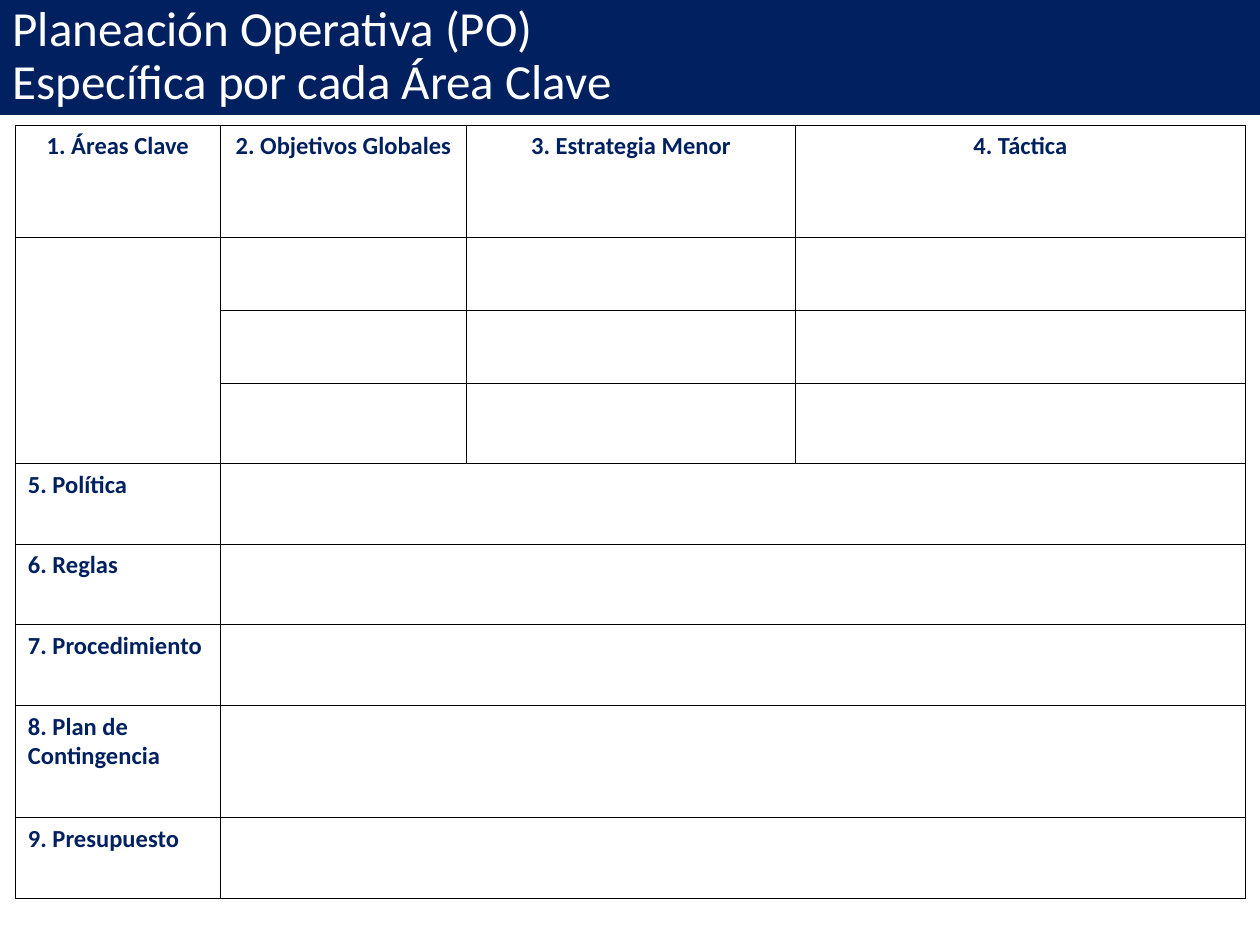
from lxml import etree
from pptx import Presentation
from pptx.dml.color import RGBColor
from pptx.enum.text import MSO_ANCHOR, MSO_AUTO_SIZE, PP_ALIGN
from pptx.oxml.ns import qn
from pptx.util import Pt

CENTER, LEFT = PP_ALIGN.CENTER, PP_ALIGN.LEFT
MIDDLE = MSO_ANCHOR.MIDDLE
NO_AUTOFIT = MSO_AUTO_SIZE.NONE
TITLE_ONLY = 5
FONT = "Calibri"
COLORS = {"navy": "002060", "white": "FFFFFF", "border": "000000"}
THIN, THICK = 0.45, 0.96

TITLE = "Planeación Operativa (PO)\vEspecífica por cada Área Clave"
HEADERS = ["1. Áreas Clave", "2. Objetivos Globales", "3. Estrategia Menor", "4. Táctica"]
SECTIONS = ["5. Política", "6. Reglas", "7. Procedimiento", "8. Plan de Contingencia", "9. Presupuesto"]
GOAL_ROWS = 3
FIRST_SECTION = 1 + GOAL_ROWS
COL_WIDTHS = [117.2, 140.6, 188, 257.1]
ROW_HEIGHTS = [64.3, 41.5, 41.5, 46.1, 46.1, 46.1, 46.1, 64.2, 46.1]


def rgb(name):
    return RGBColor.from_string(COLORS[name])


def format_paragraph(p, size, color, align, bold=False):
    p.alignment = align
    p.font.name = FONT
    p.font.size = Pt(size)
    p.font.bold = bold
    p.font.color.rgb = rgb(color)


def add_title(s):
    sp = s.shapes.title
    sp.left, sp.top, sp.width, sp.height = Pt(0), Pt(0), Pt(720), Pt(65.7)
    sp.fill.solid()
    sp.fill.fore_color.rgb = rgb("navy")
    tf = sp.text_frame
    tf.text = TITLE
    tf.auto_size = NO_AUTOFIT
    tf.vertical_anchor = MIDDLE
    p = tf.paragraphs[0]
    format_paragraph(p, 28, "white", LEFT)
    p.line_spacing = 0.9


def set_border(cell, side, width):
    tc_pr = cell._tc.get_or_add_tcPr()
    ln = etree.SubElement(tc_pr, qn(f"a:ln{side}"), w=str(Pt(width)))
    fill = etree.SubElement(ln, qn("a:solidFill"))
    etree.SubElement(fill, qn("a:srgbClr"), val=COLORS["border"])


def format_cell(cell, row):
    widths = {
        "L": THIN,
        "R": THIN,
        "T": THICK if row == 1 else THIN,
        "B": THICK if row == 0 else THIN,
    }
    for side, width in widths.items():
        set_border(cell, side, width)
    cell.fill.background()


def write_cell(cell, text, align):
    cell.text = text
    format_paragraph(cell.text_frame.paragraphs[0], 14, "navy", align, bold=True)


def add_plan_table(s):
    frame = s.shapes.add_table(
        len(ROW_HEIGHTS), len(COL_WIDTHS),
        Pt(8.8), Pt(71.5), Pt(sum(COL_WIDTHS)), Pt(sum(ROW_HEIGHTS)),
    )
    table = frame.table
    table.first_row = table.horz_banding = False
    for col, width in zip(table.columns, COL_WIDTHS):
        col.width = Pt(width)
    for i, (row, height) in enumerate(zip(table.rows, ROW_HEIGHTS)):
        row.height = Pt(height)
        for cell in row.cells:
            format_cell(cell, i)
    for j, text in enumerate(HEADERS):
        write_cell(table.cell(0, j), text, CENTER)
    table.cell(1, 0).merge(table.cell(GOAL_ROWS, 0))
    for i, text in enumerate(SECTIONS, FIRST_SECTION):
        write_cell(table.cell(i, 0), text, LEFT)
        table.cell(i, 1).merge(table.cell(i, len(COL_WIDTHS) - 1))


def main():
    prs = Presentation()
    prs.slide_width, prs.slide_height = Pt(720), Pt(540)
    s = prs.slides.add_slide(prs.slide_layouts[TITLE_ONLY])
    add_title(s)
    add_plan_table(s)
    prs.save("out.pptx")


if __name__ == "__main__":
    main()
